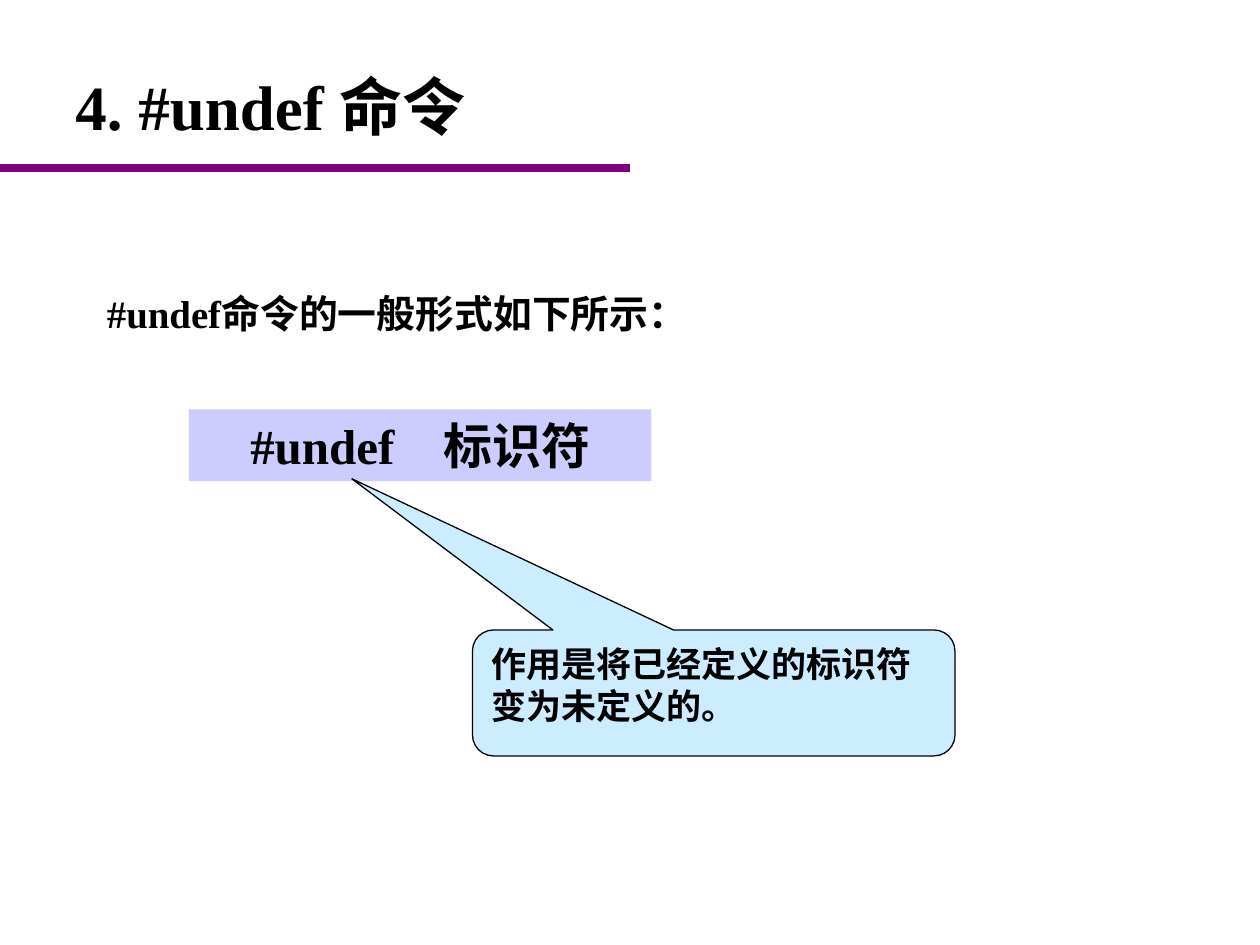
from dataclasses import dataclass

from lxml.etree import SubElement
from pptx import Presentation
from pptx.dml.color import RGBColor
from pptx.enum.shapes import MSO_CONNECTOR, MSO_SHAPE
from pptx.enum.text import MSO_ANCHOR, PP_ALIGN
from pptx.oxml.ns import qn
from pptx.util import Inches, Pt


@dataclass(frozen=True)
class Theme:
    latin: str = "Times New Roman"
    chinese: str = "Noto Sans CJK SC"
    ink: str = "000000"
    rule: str = "800080"
    syntax_fill: str = "CCCCFF"
    note_fill: str = "CCECFF"
    title_size: float = 36
    lead_size: float = 22.2
    syntax_size: float = 28
    note_size: float = 20
    rule_width: float = 4.5
    note_border: float = 0.75


THEME = Theme()


def color(value):
    return RGBColor.from_string(value)


def write(holder, text, size, font=THEME.latin, align=PP_ALIGN.LEFT, anchor=MSO_ANCHOR.TOP):
    frame = holder.text_frame
    frame.word_wrap = True
    frame.vertical_anchor = anchor
    paragraph = frame.paragraphs[0]
    paragraph.alignment = align
    run = paragraph.add_run()
    run.text = text
    run.font.name = font
    run.font.size = Pt(size)
    run.font.bold = True
    run.font.color.rgb = color(THEME.ink)


def add_text(slide, box, text, size, **style):
    label = slide.shapes.add_textbox(*map(Inches, box))
    write(label, text, size, **style)


def add_panel(slide, preset, box, fill):
    panel = slide.shapes.add_shape(preset, *map(Inches, box))
    panel.shadow.inherit = False
    panel.fill.solid()
    panel.fill.fore_color.rgb = color(fill)
    panel.line.fill.background()
    return panel


def add_rule(slide, y, length):
    rule = slide.shapes.add_connector(
        MSO_CONNECTOR.STRAIGHT, Inches(0), Inches(y), Inches(length), Inches(y)
    )
    rule.line.color.rgb = color(THEME.rule)
    rule.line.width = Pt(THEME.rule_width)
    SubElement(rule._element.spPr, qn("a:effectLst"))


def add_syntax(slide, box, text):
    syntax = add_panel(slide, MSO_SHAPE.RECTANGLE, box, THEME.syntax_fill)
    write(syntax, text, THEME.syntax_size, align=PP_ALIGN.CENTER, anchor=MSO_ANCHOR.MIDDLE)


def add_callout(slide, box, pointer, text):
    note = add_panel(slide, MSO_SHAPE.ROUNDED_RECTANGULAR_CALLOUT, box, THEME.note_fill)
    for index, value in enumerate((*pointer, 0.167)):
        note.adjustments[index] = value
    note.line.color.rgb = color(THEME.ink)
    note.line.width = Pt(THEME.note_border)
    write(note, text, THEME.note_size, font=THEME.chinese)


def main():
    deck = Presentation()
    deck.slide_width, deck.slide_height = Inches(10), Inches(7.5)
    slide = deck.slides.add_slide(deck.slide_layouts[6])

    add_text(slide, (0.5, 0.5, 4.17, 0.67), "4. #undef 命令", THEME.title_size,
             anchor=MSO_ANCHOR.MIDDLE)
    add_text(slide, (0.75, 2.25, 5.58, 0.58), "#undef命令的一般形式如下所示：",
             THEME.lead_size, align=PP_ALIGN.JUSTIFY)
    add_rule(slide, 1.33, 5)
    add_syntax(slide, (1.5, 3.25, 3.67, 0.57), "#undef　标识符")
    add_callout(slide, (3.75, 5, 3.83, 1), (-0.75, -1.7),
                "作用是将已经定义的标识符变为未定义的。")
    deck.save("out.pptx")


if __name__ == "__main__":
    main()
